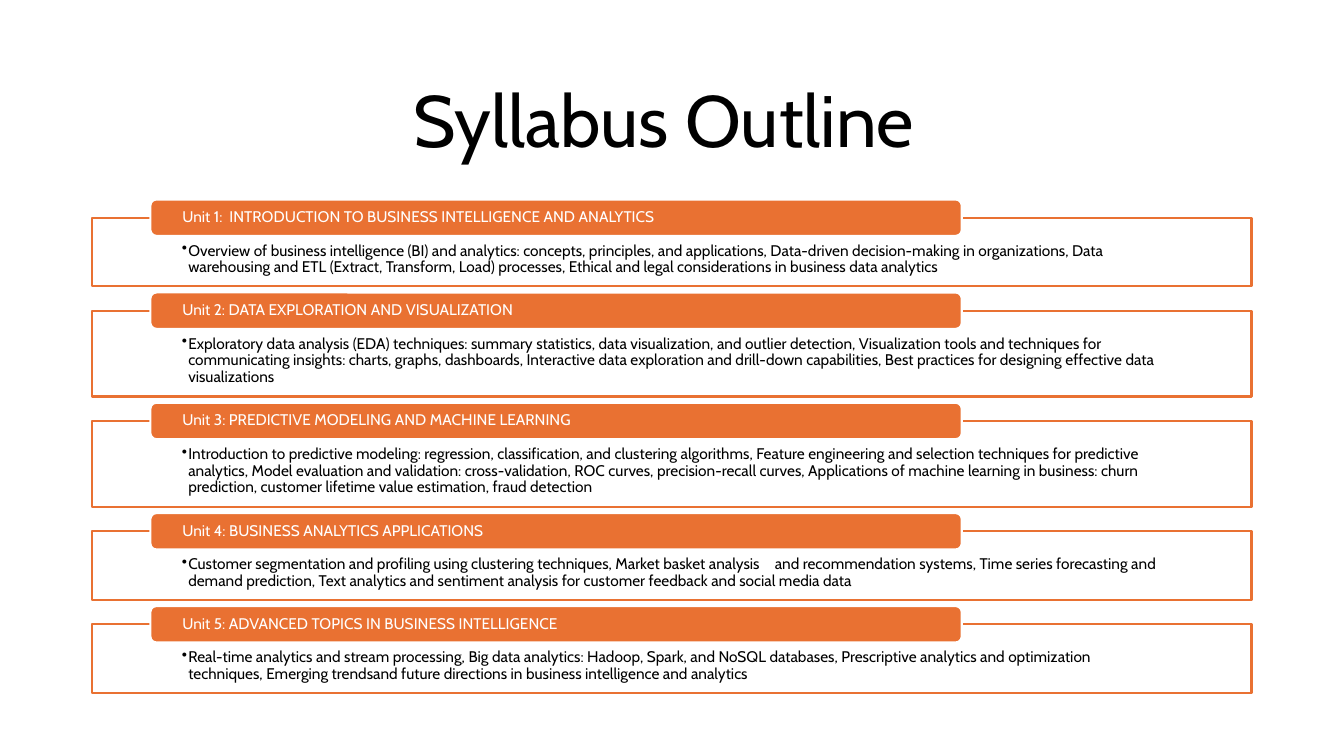
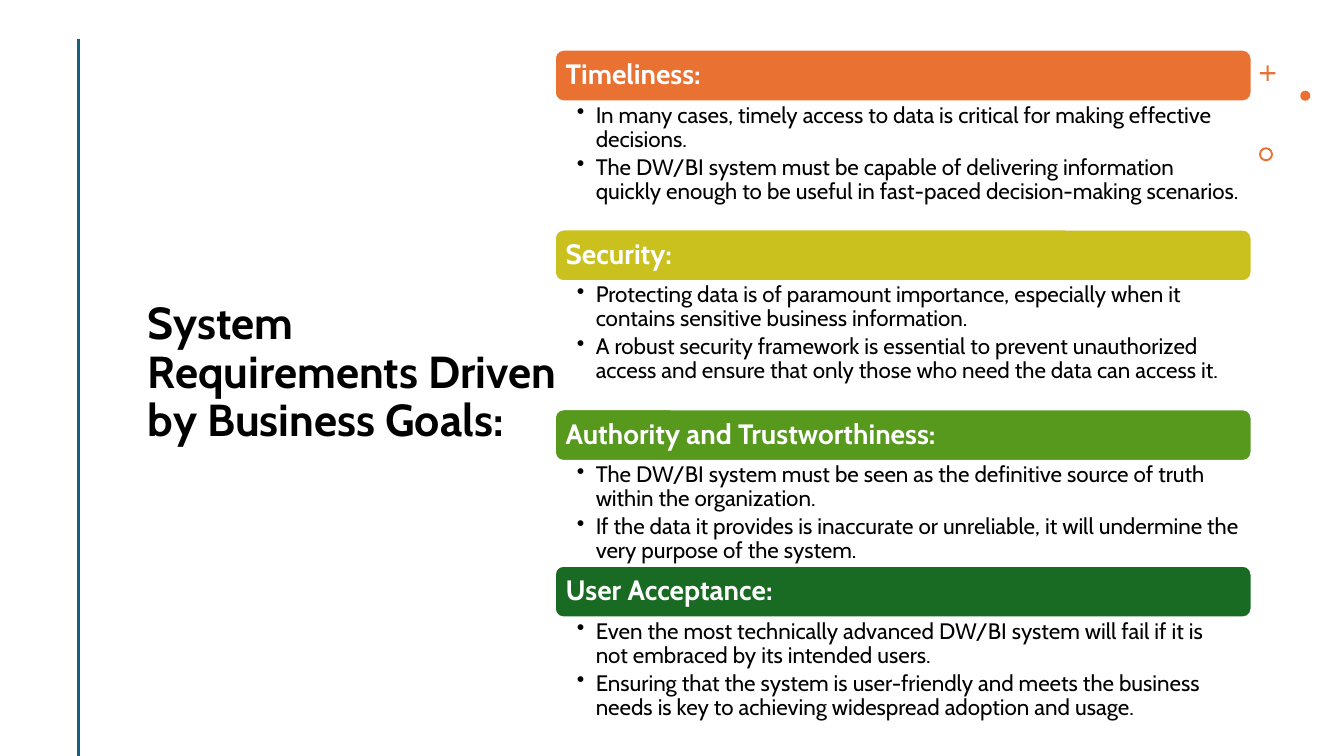
from dataclasses import dataclass

from lxml import etree
from pptx import Presentation
from pptx.dml.color import RGBColor
from pptx.enum import shapes, text
from pptx.oxml import ns
from pptx.util import Pt


@dataclass(frozen=True)
class Theme:
    font: str = "Cabin"
    white: str = "FFFFFF"
    black: str = "000000"
    orange: str = "E97132"
    yellow: str = "CBC11E"
    green: str = "56991D"
    forest: str = "196B24"
    teal: str = "156082"
    title: int = 52
    side_title: int = 32
    heading: int = 20
    body: int = 16
    small: int = 11


T = Theme()
SHAPE = shapes.MSO_SHAPE
TOP, MIDDLE = text.MSO_ANCHOR.TOP, text.MSO_ANCHOR.MIDDLE
LEFT, CENTER = text.PP_ALIGN.LEFT, text.PP_ALIGN.CENTER


def add_box(s, kind, x, y, w, h, fill, line=None):
    sp = s.shapes.add_shape(kind, Pt(x), Pt(y), Pt(w), Pt(h))
    sp.shadow.inherit = False
    sp.fill.solid()
    sp.fill.fore_color.rgb = RGBColor.from_string(fill)
    if line:
        sp.line.color.rgb = RGBColor.from_string(line)
        sp.line.width = Pt(1.5)
    else:
        sp.line.fill.background()
    return sp


def write(sp, lines, size, color, insets, anchor=MIDDLE, bold=False, align=LEFT, hang=0, after=0):
    tf = sp.text_frame
    tf.word_wrap = True
    tf.auto_size = text.MSO_AUTO_SIZE.NONE
    tf.vertical_anchor = anchor
    tf.margin_left, tf.margin_top, tf.margin_right, tf.margin_bottom = map(Pt, insets)
    tf.text = "\n".join(lines)
    for p in tf.paragraphs:
        if hang:
            pPr = p._p.get_or_add_pPr()
            pPr.set("marL", str(Pt(hang)))
            pPr.set("indent", str(-Pt(hang)))
            pPr.set("defTabSz", str(Pt(38.5)))
            etree.SubElement(pPr, ns.qn("a:buChar")).set("char", "•")
        p.alignment = align
        p.line_spacing = 0.9
        p.space_before, p.space_after = Pt(0), Pt(after)
        for r in p.runs:
            r.font.name, r.font.size, r.font.bold = T.font, Pt(size), bold
            r.font.color.rgb = RGBColor.from_string(color)


prs = Presentation()
prs.slide_width, prs.slide_height = Pt(960), Pt(540)

# Slides and their titles
titles = [
    ("Syllabus Outline ", (66, 44, 828, 89), T.title, False, CENTER),
    ("System Requirements Driven by Business Goals:", (98.5, 47, 310.5, 440), T.side_title, True, LEFT),
]
for title, place, size, bold, align in titles:
    s = prs.slides.add_slide(prs.slide_layouts[5])
    sp = s.shapes.title
    sp.left, sp.top, sp.width, sp.height = map(Pt, place)
    write(sp, [title], size, T.black, (7.2, 3.6, 7.2, 3.6), bold=bold, align=align)
outline, goals = prs.slides

# Syllabus: heading, content and frame height of each unit
units = [
    ("Unit 1:  INTRODUCTION TO BUSINESS INTELLIGENCE AND ANALYTICS",
     "Overview of business intelligence (BI) and analytics: concepts, principles, and applications, "
     "Data-driven decision-making in organizations, Data warehousing and ETL (Extract, Transform, Load) "
     "processes, Ethical and legal considerations in business data analytics", 49),
    ("Unit 2: DATA EXPLORATION AND VISUALIZATION",
     "Exploratory data analysis (EDA) techniques: summary statistics, data visualization, and outlier "
     "detection, Visualization tools and techniques for communicating insights: charts, graphs, dashboards, "
     "Interactive data exploration and drill-down capabilities, Best practices for designing effective data "
     "visualizations", 61.4),
    ("Unit 3: PREDICTIVE MODELING AND MACHINE LEARNING",
     "Introduction to predictive modeling: regression, classification, and clustering algorithms, Feature "
     "engineering and selection techniques for predictive analytics, Model evaluation and validation: "
     "cross-validation, ROC curves, precision-recall curves, Applications of machine learning in business: "
     "churn prediction, customer lifetime value estimation, fraud detection", 61.4),
    ("Unit 4: BUSINESS ANALYTICS APPLICATIONS",
     "Customer segmentation and profiling using clustering techniques, Market basket analysis\tand "
     "recommendation systems, Time series forecasting and demand prediction, Text analytics and sentiment "
     "analysis for customer feedback and social media data", 49),
    ("Unit 5: ADVANCED TOPICS IN BUSINESS INTELLIGENCE",
     "Real-time analytics and stream processing, Big data analytics: Hadoop, Spark, and NoSQL databases, "
     "Prescriptive analytics and optimization techniques, Emerging trendsand future directions in business "
     "intelligence and analytics", 49),
]
y = 155.5
for heading, content, height in units:
    frame = add_box(outline, SHAPE.RECTANGLE, 66, y, 828, height, T.white, T.orange)
    write(frame, [content], T.small, T.black, (64, 18, 64, 6.5), TOP, hang=4.5)
    tab = add_box(outline, SHAPE.ROUNDED_RECTANGLE, 107.4, y - 13, 579.6, 26, T.orange, T.white)
    write(tab, [heading], T.small, T.white, (21.6, 0, 21.6, 0))
    y += height + 17.4

# Side rule
rule = goals.shapes.add_connector(shapes.MSO_CONNECTOR.STRAIGHT, Pt(56), Pt(28), Pt(56), Pt(540))
rule.line.color.rgb = RGBColor.from_string(T.teal)
rule.line.width = Pt(2)
etree.SubElement(rule._element.spPr, ns.qn("a:effectLst"))

# Corner ornaments
plus = add_box(goals, SHAPE.CROSS, 900, 46.8, 11, 11, T.orange)
plus.adjustments[0] = 0.43
add_box(goals, SHAPE.OVAL, 928.8, 64.8, 7.2, 7.2, T.orange)
ring = add_box(goals, SHAPE.DONUT, 899.3, 105.2, 10, 10, T.orange)
ring.adjustments[0] = 0.14

# Requirements: heading, colour, points and height of the points
requirements = [
    ("Timeliness:", T.orange,
     ["In many cases, timely access to data is critical for making effective decisions.",
      "The DW/BI system must be capable of delivering information quickly enough to be useful in "
      "fast-paced decision-making scenarios."], 91.4),
    ("Security:", T.yellow,
     ["Protecting data is of paramount importance, especially when it contains sensitive business information.",
      "A robust security framework is essential to prevent unauthorized access and ensure that only those "
      "who need the data can access it."], 91.4),
    ("Authority and Trustworthiness:", T.green,
     ["The DW/BI system must be seen as the definitive source of truth within the organization.",
      "If the data it provides is inaccurate or unreliable, it will undermine the very purpose of the system."],
     74.8),
    ("User Acceptance:", T.forest,
     ["Even the most technically advanced DW/BI system will fail if it is not embraced by its intended users.",
      "Ensuring that the system is user-friendly and meets the business needs is key to achieving widespread "
      "adoption and usage."], 74.8),
]
x, y, width, bar_height = 396.3, 35.5, 497.7, 37
for heading, color, points, height in requirements:
    bar = add_box(goals, SHAPE.ROUNDED_RECTANGLE, x, y, width, bar_height, color, T.white)
    write(bar, [heading], T.heading, T.white, (6, 6, 6, 6), bold=True)
    y += bar_height
    sp = goals.shapes.add_textbox(Pt(x), Pt(y), Pt(width), Pt(height))
    write(sp, points, T.body, T.black, (15.8, 1.6, 8.5, 1.6), TOP, hang=13.5, after=2.6)
    y += height

prs.save("out.pptx")
